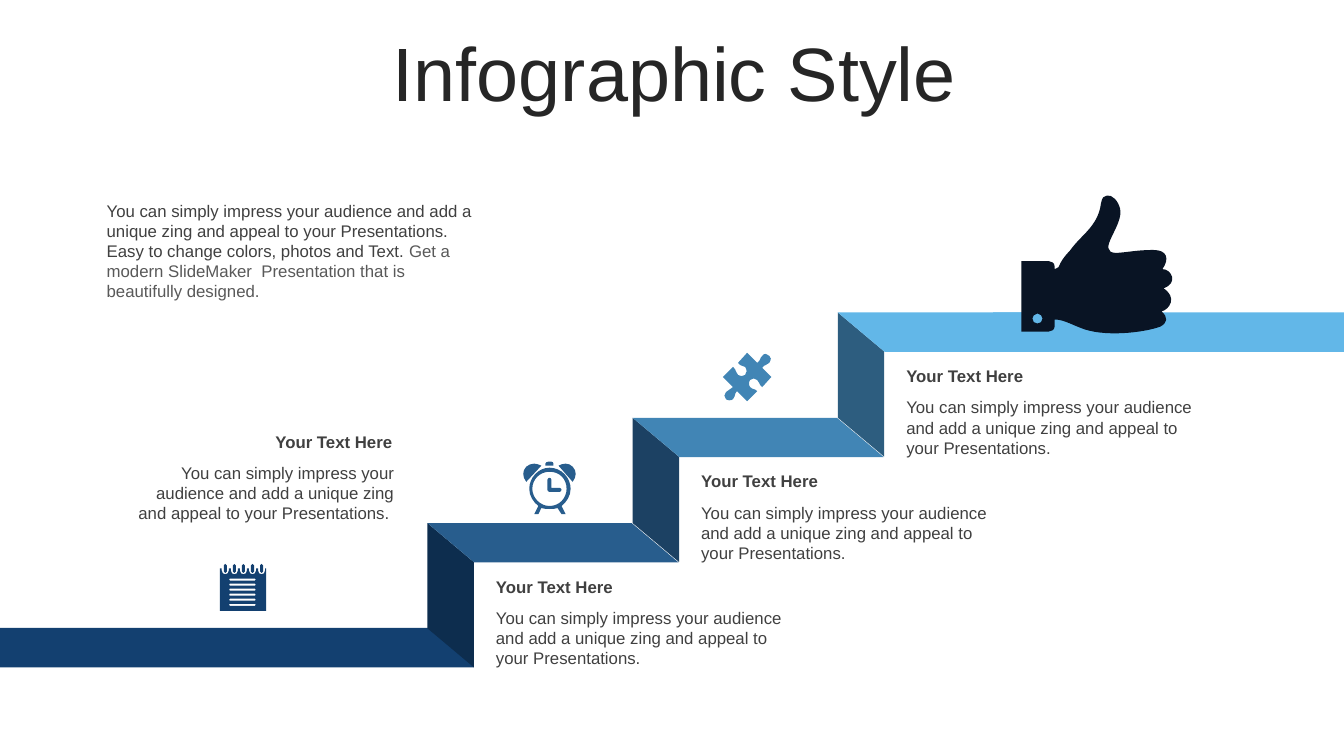
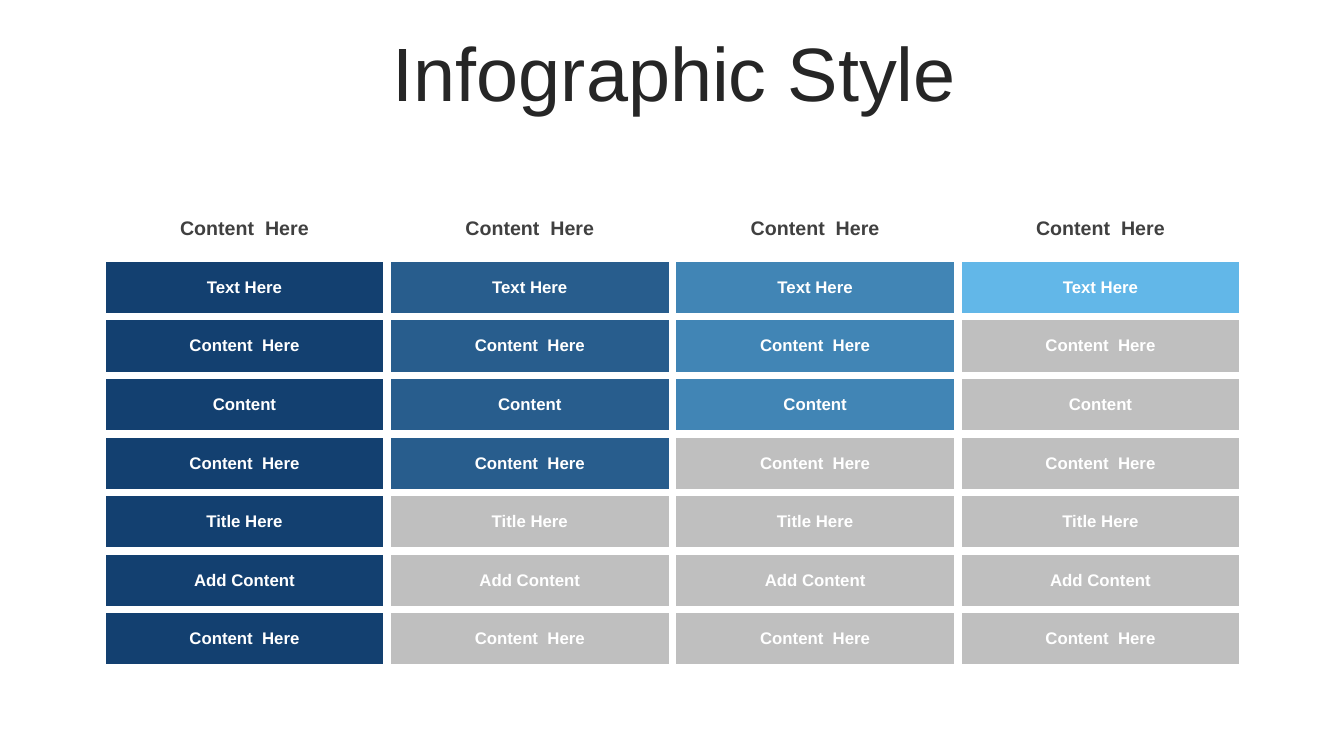
from typing import NamedTuple

from lxml.etree import SubElement
from pptx import Presentation
from pptx.dml.color import RGBColor
from pptx.enum.shapes import MSO_SHAPE
from pptx.enum.text import MSO_ANCHOR, MSO_AUTO_SIZE, PP_ALIGN
from pptx.oxml.ns import qn
from pptx.util import Inches, Pt

# Shared style
FONT = "Arial"
COLORS = {
    "title": "262626", "text": "404040", "soft": "595959", "white": "FFFFFF",
    "navy": "134070", "blue": "285D8D", "steel": "4185B5", "sky": "62B7E8",
    "navy_side": "0D2D4E", "blue_side": "1C4163", "steel_side": "2D5D7F",
    "ink": "091424", "gray": "BFBFBF",
}
SLIDE_W, SLIDE_H = 13.33, 7.5
TITLE = "Infographic Style"
HEADING = "Your Text Here"
PITCH = ("You can simply impress your audience and add a unique zing "
         "and appeal to your Presentations.")


class Step(NamedTuple):
    tread: str
    riser: str


class Caption(NamedTuple):
    left: float
    top: float
    width: float
    body: str
    align: PP_ALIGN


class Column(NamedTuple):
    color: str
    filled: int


# Staircase geometry, from the lowest tread to the highest
STEPS = [Step("blue", "navy_side"), Step("steel", "blue_side"), Step("sky", "steel_side")]
STAIR_LEFT, STAIR_BASE = 4.24, 5.19
LANDING_LEFT, LANDING_TOP = 8.31, 3.1
RUN = (LANDING_LEFT - STAIR_LEFT) / 2
RISE = (STAIR_BASE - LANDING_TOP) / 2
TREAD_W, TREAD_H = 2.49, 0.39
RISER_W, RISER_H = 0.46, 1.43

# Table content
COLUMNS = [Column("navy", 7), Column("blue", 4), Column("steel", 3), Column("sky", 1)]
ROWS = ["Content  Here", "Text Here", "Content  Here", "Content", "Content  Here",
        "Title Here", "Add Content", "Content  Here"]

# Icon outlines in inches: a pair is a straight line, six numbers are a curve
THUMB = [
    "10.29 3.11; 10.26 3.11 10.24 3.14 10.24 3.16; 10.24 3.19 10.26 3.21 10.29 3.21;"
    "10.32 3.21 10.34 3.19 10.34 3.16; 10.34 3.14 10.32 3.11 10.29 3.11",
    "10.98 1.94; 11.03 1.93 11.09 1.99 11.11 2.07; 11.15 2.24 10.86 2.5 11.07 2.51;"
    "11.21 2.5 11.28 2.48 11.44 2.48; 11.58 2.48 11.6 2.57 11.53 2.67;"
    "11.62 2.67 11.69 2.81 11.54 2.86; 11.68 2.95 11.6 3.07 11.52 3.09;"
    "11.59 3.15 11.58 3.2 11.51 3.24; 11.35 3.3 10.94 3.35 10.71 3.25;"
    "10.61 3.21 10.54 3.17 10.46 3.17; 10.46 3.24; 10.46 3.27 10.43 3.29 10.4 3.29;"
    "10.13 3.29; 10.13 2.59; 10.4 2.59; 10.43 2.59 10.46 2.61 10.46 2.64; 10.46 2.67;"
    "10.47 2.67 10.48 2.66 10.5 2.65; 10.52 2.6 10.55 2.55 10.61 2.49;"
    "10.72 2.33 10.89 2.25 10.92 2.02; 10.93 1.96 10.95 1.94 10.98 1.94",
]
CLOCK = [
    "5.45 4.74; 5.46 4.74 5.47 4.75 5.47 4.76; 5.47 4.84; 5.55 4.84;"
    "5.56 4.84 5.57 4.85 5.57 4.86; 5.57 4.87 5.56 4.88 5.55 4.88; 5.45 4.88;"
    "5.44 4.88 5.43 4.87 5.43 4.86; 5.43 4.76; 5.43 4.75 5.44 4.74 5.45 4.74",
    "5.45 4.68; 5.36 4.68 5.28 4.75 5.28 4.85; 5.28 4.94 5.36 5.02 5.45 5.02;"
    "5.55 5.02 5.62 4.94 5.62 4.85; 5.62 4.75 5.55 4.68 5.45 4.68",
    "5.45 4.64; 5.57 4.64 5.66 4.74 5.66 4.85; 5.66 4.92 5.62 4.98 5.57 5.02;"
    "5.61 5.1; 5.57 5.1; 5.53 5.04; 5.51 5.05 5.48 5.05 5.45 5.05;"
    "5.42 5.05 5.4 5.05 5.37 5.04; 5.34 5.1; 5.3 5.1; 5.34 5.02;"
    "5.29 4.98 5.25 4.92 5.25 4.85; 5.25 4.74 5.34 4.64 5.45 4.64",
    "5.3 4.6; 5.32 4.6 5.35 4.61 5.37 4.62; 5.22 4.78;"
    "5.18 4.73 5.18 4.67 5.22 4.63; 5.24 4.61 5.27 4.6 5.3 4.6",
    "5.61 4.6; 5.64 4.6 5.66 4.61 5.68 4.63; 5.72 4.67 5.72 4.73 5.68 4.78;"
    "5.54 4.62; 5.56 4.61 5.58 4.6 5.61 4.6",
    "5.44 4.58; 5.47 4.58; 5.48 4.58 5.49 4.59 5.49 4.6; 5.49 4.62; 5.41 4.62;"
    "5.41 4.6; 5.41 4.59 5.42 4.58 5.44 4.58",
]
PUZZLE = [
    "7.63 3.53; 7.65 3.54 7.65 3.57 7.63 3.6; 7.61 3.63 7.58 3.61 7.56 3.65;"
    "7.65 3.74; 7.56 3.84; 7.52 3.81 7.54 3.79 7.51 3.77;"
    "7.49 3.75 7.46 3.75 7.44 3.77; 7.43 3.78 7.42 3.82 7.44 3.84;"
    "7.47 3.87 7.48 3.85 7.51 3.88; 7.41 3.98; 7.31 3.88;"
    "7.28 3.91 7.3 3.92 7.27 3.96; 7.25 3.98 7.21 3.97 7.2 3.96;"
    "7.18 3.94 7.18 3.91 7.2 3.89; 7.22 3.86 7.25 3.87 7.27 3.84; 7.17 3.74;"
    "7.27 3.64; 7.31 3.67 7.29 3.7 7.32 3.72; 7.34 3.74 7.37 3.73 7.39 3.72;"
    "7.41 3.7 7.41 3.67 7.39 3.64; 7.36 3.62 7.35 3.64 7.32 3.6; 7.41 3.5; 7.51 3.6;"
    "7.55 3.57 7.53 3.56 7.56 3.53; 7.58 3.5 7.61 3.51 7.63 3.53",
]


def notepad() -> list[str]:
    """Outline a page with ruled lines and five binder rings."""
    rules = [5.75 + 0.05 * i for i in range(6)]
    lines = [f"2.28 {y - .01}; 2.53 {y - .01}; 2.54 {y - .01} 2.54 {y + .01} 2.53 {y + .01};"
             f"2.28 {y + .01}; 2.27 {y + .01} 2.27 {y - .01} 2.28 {y - .01}" for y in rules]
    lefts = [2.2 + 0.09 * i for i in range(5)]
    notches = ";".join(
        f"{x} 5.64; {x} 5.66; {x} 5.71 {x + .07} 5.71 {x + .07} 5.66; {x + .07} 5.64"
        for x in lefts)
    page = f"2.18 5.64; {notches}; 2.64 5.64; 2.64 6.06; 2.18 6.06"
    rings = [f"{x + .02} 5.61; {x + .02} 5.59 {x + .05} 5.59 {x + .05} 5.61;"
             f"{x + .05} 5.67; {x + .05} 5.69 {x + .02} 5.69 {x + .02} 5.67" for x in lefts]
    return [*lines, page, *rings]


def rgb(name: str) -> RGBColor:
    return RGBColor.from_string(COLORS[name])


def write(frame, text: str, *, size: float = 12, color: str = "text", bold: bool = False,
          align: PP_ALIGN = PP_ALIGN.LEFT, anchor: MSO_ANCHOR = MSO_ANCHOR.TOP,
          spacing: float = 1.0) -> None:
    """Add a formatted run to the first paragraph of a text frame."""
    frame.word_wrap = True
    frame.vertical_anchor = anchor
    paragraph = frame.paragraphs[0]
    paragraph.alignment = align
    paragraph.line_spacing = spacing
    run = paragraph.add_run()
    run.text = text
    run.font.name, run.font.size, run.font.bold = FONT, Pt(size), bold
    run.font.color.rgb = rgb(color)


def add_text_box(slide, left: float, top: float, width: float, height: float):
    box = slide.shapes.add_textbox(Inches(left), Inches(top), Inches(width), Inches(height))
    return box.text_frame


def paint(shape, color: str) -> None:
    shape.shadow.inherit = False
    shape.fill.solid()
    shape.fill.fore_color.rgb = rgb(color)
    shape.line.fill.background()


def add_block(slide, kind: MSO_SHAPE, left: float, top: float, width: float, height: float,
              color: str):
    block = slide.shapes.add_shape(kind, Inches(left), Inches(top), Inches(width), Inches(height))
    paint(block, color)
    return block


def read_segments(contour: str) -> list[list[tuple[int, int]]]:
    """Give the points of each segment: one for a line, three for a curve."""
    segments = []
    for segment in contour.split(";"):
        values = [Inches(float(value)) for value in segment.split()]
        segments.append(list(zip(values[::2], values[1::2])))
    return segments


def bend_curves(shape, sizes: list[int]) -> None:
    """Merge every three lines that hold the points of one curve."""
    lines = iter(list(shape._element.spPr.iter(qn("a:lnTo"))))
    for size in sizes:
        group = [next(lines) for _ in range(size)]
        if size == 3:
            outline = group[0].getparent()
            curve = SubElement(outline, qn("a:cubicBezTo"))
            outline.replace(group[0], curve)
            for line in group:
                curve.append(line[0])
            for line in group[1:]:
                outline.remove(line)


def add_icon(slide, contours: list[str], color: str) -> None:
    builder, sizes = None, []
    for contour in contours:
        (start,), *segments = read_segments(contour)
        if builder is None:
            builder = slide.shapes.build_freeform(*start, scale=1.0)
        else:
            builder.move_to(*start)
        builder.add_line_segments([point for segment in segments for point in segment],
                                  close=True)
        sizes += [len(segment) for segment in segments]
    icon = builder.convert_to_shape()
    bend_curves(icon, sizes)
    paint(icon, color)


def add_titled_slide(deck):
    slide = deck.slides.add_slide(deck.slide_layouts[5])
    title = slide.shapes.title
    title.left, title.top = Inches(0.36), Inches(0.37)
    title.width, title.height = Inches(12.66), Inches(0.79)
    title.text_frame.auto_size = MSO_AUTO_SIZE.NONE
    write(title.text_frame, TITLE, size=54, color="title", align=PP_ALIGN.CENTER,
          anchor=MSO_ANCHOR.MIDDLE, spacing=0.9)
    return slide


def add_caption(slide, caption: Caption) -> None:
    heading = add_text_box(slide, caption.left, caption.top, caption.width - 0.02, 0.3)
    write(heading, HEADING, bold=True, align=caption.align)
    body = add_text_box(slide, caption.left, caption.top + 0.31, caption.width, 0.71)
    write(body, caption.body, align=caption.align)


def add_step(slide, index: int, step: Step) -> None:
    left, top = STAIR_LEFT + RUN * index, STAIR_BASE - RISE * index
    # The riser is a parallelogram turned upright about its centre
    riser = add_block(slide, MSO_SHAPE.PARALLELOGRAM, left + (RISER_W - RISER_H) / 2,
                      top + (RISER_H - RISER_W) / 2, RISER_H, RISER_W, step.riser)
    riser.adjustments[0] = 0.84
    riser.rotation = 270
    tread = add_block(slide, MSO_SHAPE.PARALLELOGRAM, left, top, TREAD_W, TREAD_H, step.tread)
    tread.adjustments[0] = 1.19
    tread._element.spPr.get_or_add_xfrm().set("flipH", "1")
    add_caption(slide, Caption(left + 0.58, top + 0.48, 3.11, PITCH, PP_ALIGN.LEFT))


def build_staircase(deck) -> None:
    slide = add_titled_slide(deck)
    # Floor and top landing
    add_block(slide, MSO_SHAPE.RECTANGLE, 0, 6.23, 4.7, TREAD_H, "navy")
    add_block(slide, MSO_SHAPE.RECTANGLE, 9.85, LANDING_TOP, SLIDE_W - 9.85, TREAD_H, "sky")
    for index, step in enumerate(STEPS):
        add_step(slide, index, step)
    # Introduction and floor caption
    intro = add_text_box(slide, 0.96, 1.94, 3.93, 1.11)
    write(intro, f"{PITCH} Easy to change colors, photos and Text. ")
    write(intro, "Get a modern SlideMaker  Presentation that is beautifully designed.",
          color="soft")
    add_caption(slide, Caption(1.21, 4.23, 2.8, PITCH + " ", PP_ALIGN.RIGHT))
    # Icons
    for contours, color in ((THUMB, "ink"), (CLOCK, "blue"), (notepad(), "navy"),
                            (PUZZLE, "steel")):
        add_icon(slide, contours, color)


def set_borders(cell, color: str, width: float) -> None:
    properties = cell._tc.get_or_add_tcPr()
    for side in ("a:lnL", "a:lnR", "a:lnT", "a:lnB"):
        border = SubElement(properties, qn(side), w=str(Pt(width)))
        fill = SubElement(border, qn("a:solidFill"))
        SubElement(fill, qn("a:srgbClr"), val=COLORS[color])


def build_table(deck) -> None:
    slide = add_titled_slide(deck)
    width, height = 11.32, 4.65
    table = slide.shapes.add_table(len(ROWS), len(COLUMNS), Inches(1.01), Inches(1.98),
                                   Inches(width), Inches(height)).table
    table.first_row = table.horz_banding = False
    for row_index, label in enumerate(ROWS):
        table.rows[row_index].height = Inches(height / len(ROWS))
        header = row_index == 0
        for column_index, column in enumerate(COLUMNS):
            cell = table.cell(row_index, column_index)
            set_borders(cell, "white", 6)
            active = column.color if row_index <= column.filled else "gray"
            cell.fill.solid()
            cell.fill.fore_color.rgb = rgb("white" if header else active)
            cell.vertical_anchor = MSO_ANCHOR.MIDDLE
            write(cell.text_frame, label, size=14 if header else 12, bold=True,
                  color="text" if header else "white", align=PP_ALIGN.CENTER,
                  anchor=MSO_ANCHOR.MIDDLE)


def main() -> None:
    deck = Presentation()
    deck.slide_width, deck.slide_height = Inches(SLIDE_W), Inches(SLIDE_H)
    build_staircase(deck)
    build_table(deck)
    deck.save("out.pptx")


if __name__ == "__main__":
    main()
